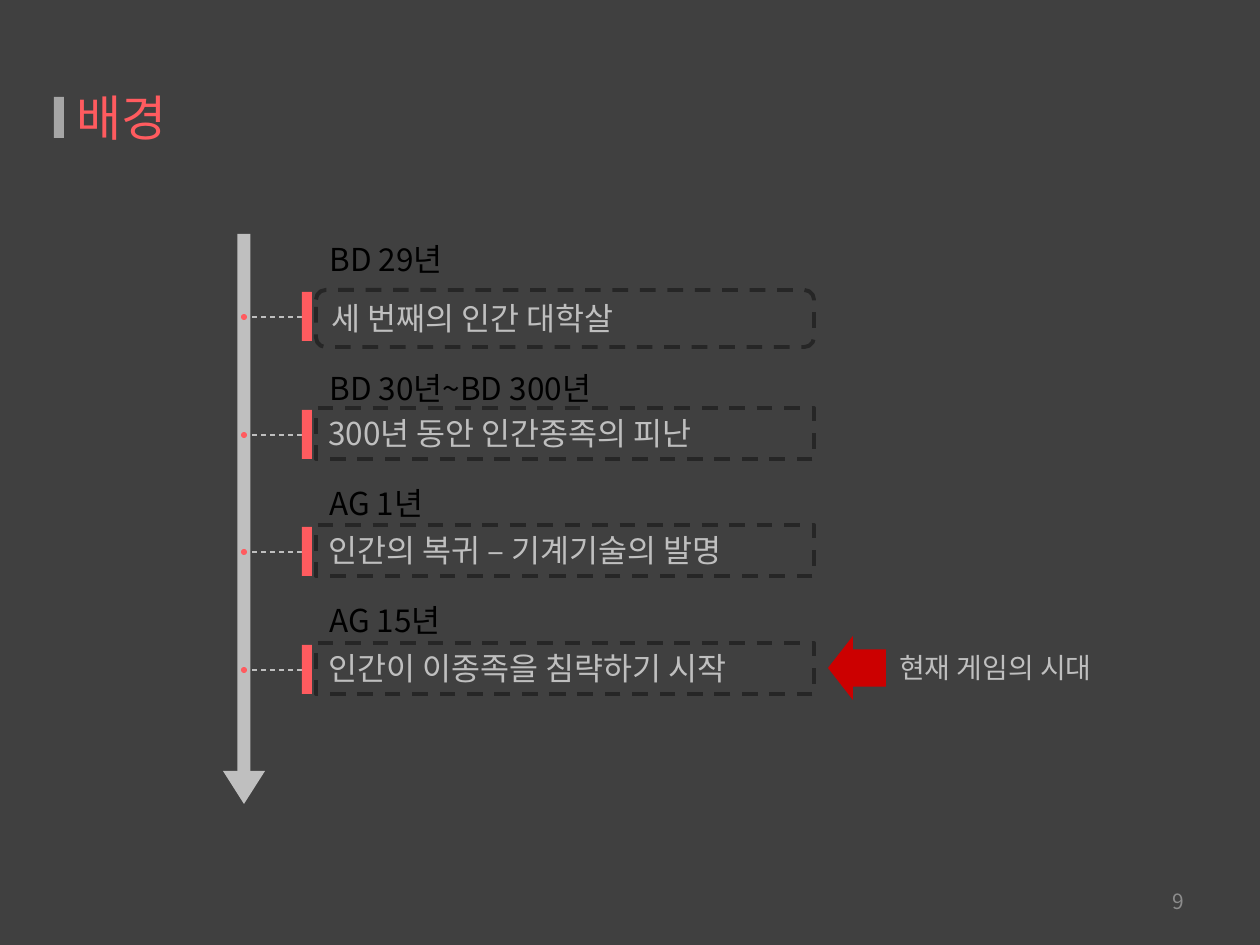
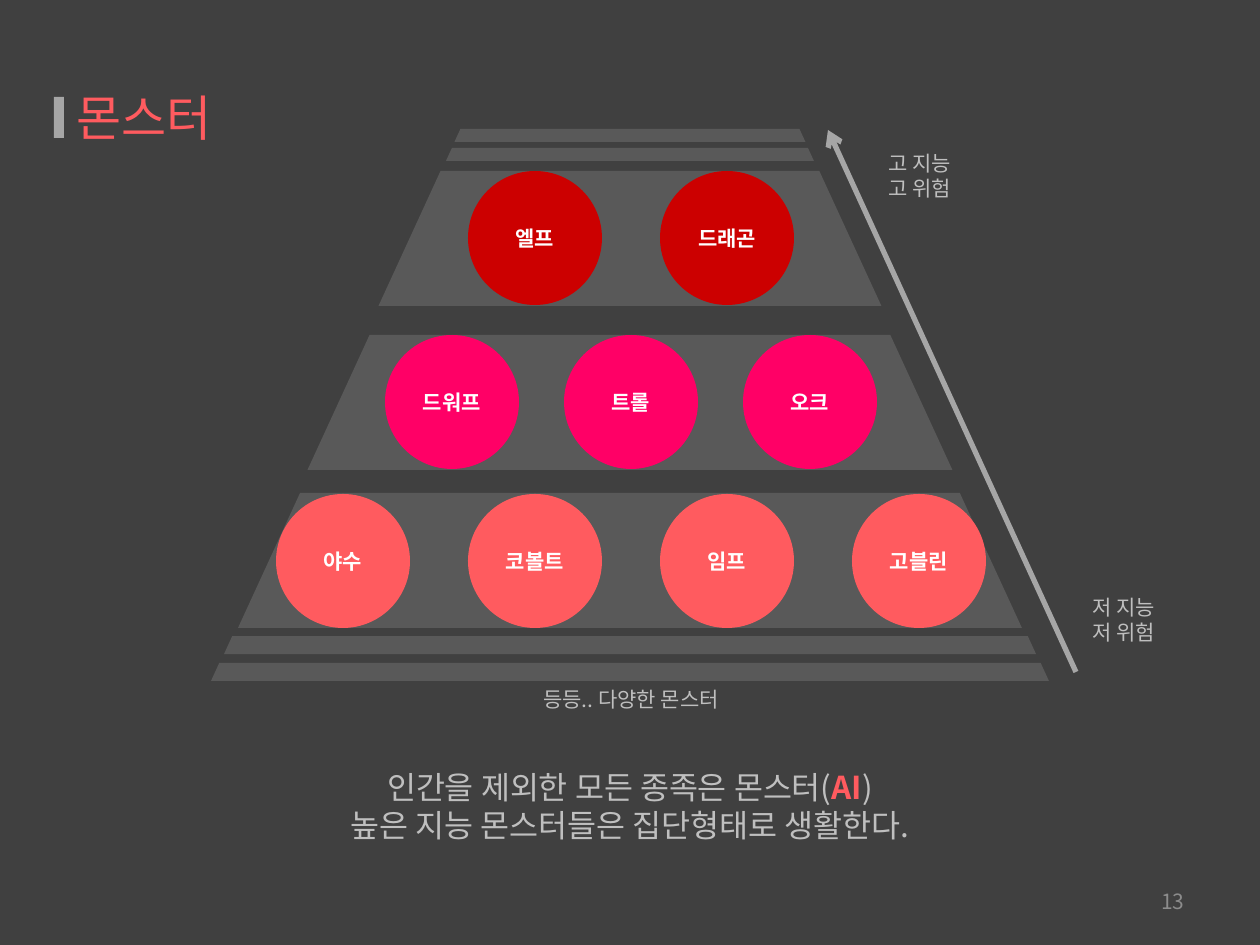
from lxml import etree
from pptx import Presentation
from pptx import util as u
from pptx.dml.color import RGBColor
from pptx.enum import dml, shapes, text
from pptx.oxml.ns import qn

PX_PER_INCH = 126
FONT = "Noto Sans CJK KR"
COLORS = {
    "background": "404040",
    "title_bar": "A6A6A6",
    "coral": "FF5B5F",
    "pink": "FF0066",
    "red": "CC0000",
    "text": "BFBFBF",
    "date": "000000",
    "outline": "262626",
    "band": "595959",
    "white": "FFFFFF",
    "page": "8C8C8C",
}
SHAPE = shapes.MSO_SHAPE
ALIGN = text.PP_ALIGN
ANCHOR = text.MSO_ANCHOR

AXIS_X = 244
FIRST_EVENT_Y, LAST_EVENT_Y = 317, 670
# date, top of the date, event, outline, outline height
EVENTS = [
    ("BD 29년", 234, "세 번째의 인간 대학살", SHAPE.ROUNDED_RECTANGLE, 57),
    ("BD 30년~BD 300년", 363, "300년 동안 인간종족의 피난", SHAPE.RECTANGLE, 51),
    ("AG 1년", 478, "인간의 복귀 – 기계기술의 발명", SHAPE.RECTANGLE, 51),
    ("AG 15년", 595, "인간이 이종족을 침략하기 시작", SHAPE.RECTANGLE, 51),
]

PYRAMID_X = 630
# width, top, height
BANDS = [
    (351, 129, 13),
    (368, 148, 13),
    (503, 171, 135),
    (645, 335, 135),
    (784, 493, 135),
    (812, 636, 18),
    (838, 663, 18),
]
BALL = 134
# names, top, distance between centres, colour
MONSTER_TIERS = [
    (["엘프", "드래곤"], 171, 192, "red"),
    (["드워프", "트롤", "오크"], 335, 179, "pink"),
    (["야수", "코볼트", "임프", "고블린"], 494, 192, "coral"),
]


def px(length):
    return u.Emu(round(length * 914400 / PX_PER_INCH))


def color(name):
    return RGBColor.from_string(COLORS[name])


def write(frame, lines, size, ink, align=ALIGN.LEFT, anchor=ANCHOR.TOP,
          bold=False, highlight=None):
    """Fill a text frame, one paragraph a line; highlight is set in bold coral."""
    frame.word_wrap = True
    frame.vertical_anchor = anchor
    for index, line in enumerate(lines):
        paragraph = frame.add_paragraph() if index else frame.paragraphs[0]
        paragraph.alignment = align
        font = paragraph.font
        font.name, font.size, font.bold = FONT, u.Pt(size), bold
        font.color.rgb = color(ink)
        defaults = paragraph._p.pPr.find(qn("a:defRPr"))
        etree.SubElement(defaults, qn("a:ea")).set("typeface", FONT)
        for part in filter(None, line.partition(highlight) if highlight else [line]):
            run = paragraph.add_run()
            run.text = part
            if part == highlight:
                run.font.bold = True
                run.font.color.rgb = color("coral")


def add_label(slide, box, lines, size=12, ink="text", **style):
    label = slide.shapes.add_textbox(*map(px, box))
    write(label.text_frame, lines, size, ink, **style)


def add_block(slide, kind, box, fill=None, adjustments=()):
    """Add a preset shape without a line."""
    block = slide.shapes.add_shape(kind, *map(px, box))
    block.shadow.inherit = False
    block.line.fill.background()
    if fill:
        block.fill.solid()
        block.fill.fore_color.rgb = color(fill)
    else:
        block.fill.background()
    for index, value in enumerate(adjustments):
        block.adjustments[index] = value
    return block


def add_line(slide, start, end, ink, width):
    line = slide.shapes.add_connector(
        shapes.MSO_CONNECTOR.STRAIGHT, *map(px, (*start, *end)))
    line.line.color.rgb = color(ink)
    line.line.width = u.Pt(width)
    etree.SubElement(line._element.spPr, qn("a:effectLst"))
    return line


def add_titled_slide(prs, title, page):
    slide = prs.slides.add_slide(prs.slide_layouts.get_by_name("Title Only"))
    add_block(slide, SHAPE.RECTANGLE, (54, 97, 10, 41), "title_bar")
    heading = slide.shapes.title
    heading.left, heading.top, heading.width, heading.height = map(
        px, (64, 38, 576, 158))
    write(heading.text_frame, [title], 28, "coral", anchor=ANCHOR.MIDDLE)
    add_label(slide, (903, 876, 294, 50), [page], ink="page",
              align=ALIGN.RIGHT, anchor=ANCHOR.MIDDLE)
    return slide


def add_event(slide, center_y, date, date_top, event, outline, height):
    link = add_line(slide, (302, center_y), (AXIS_X, center_y), "text", 0.75)
    link.line.dash_style = dml.MSO_LINE.DASH
    add_block(slide, SHAPE.OVAL, (AXIS_X - 3, center_y - 3, 6, 6), "coral")
    add_block(slide, SHAPE.RECTANGLE, (302, center_y - 25, 10, 49), "coral")
    frame = add_block(slide, outline, (316, center_y - 27, 498, height))
    frame.line.color.rgb = color("outline")
    frame.line.width = u.Pt(2.25)
    frame.line.dash_style = dml.MSO_LINE.DASH
    write(frame.text_frame, [event], 18, "text")
    add_label(slide, (317, date_top, 393, 51), [date], 18, "date")


def build_background_story(prs):
    slide = add_titled_slide(prs, "배경", "9")
    add_block(slide, SHAPE.DOWN_ARROW, (AXIS_X - 13, 234, 26, 558), "text")
    add_block(slide, SHAPE.FLOWCHART_MERGE, (AXIS_X - 21, 771, 42, 33), "text")
    step = (LAST_EVENT_Y - FIRST_EVENT_Y) / (len(EVENTS) - 1)
    for index, event in enumerate(EVENTS):
        add_event(slide, round(FIRST_EVENT_Y + index * step), *event)
    add_block(slide, SHAPE.LEFT_ARROW, (828, 636, 58, 64), "red", (0.58, 0.43))
    add_label(slide, (887, 644, 340, 47), ["현재 게임의 시대"], 16)


def build_monsters(prs):
    slide = add_titled_slide(prs, "몬스터", "13")
    for width, top, height in BANDS:
        add_block(slide, SHAPE.TRAPEZOID,
                  (PYRAMID_X - width / 2, top, width, height), "band", (0.46,))
    for names, top, pitch, fill in MONSTER_TIERS:
        first_left = PYRAMID_X + 1 - (pitch * (len(names) - 1) + BALL) / 2
        for index, name in enumerate(names):
            ball = add_block(slide, SHAPE.OVAL,
                             (first_left + index * pitch, top, BALL, BALL), fill)
            write(ball.text_frame, [name], 12, "white", ALIGN.CENTER,
                  ANCHOR.MIDDLE, bold=True)

    danger = add_line(slide, (1076, 672), (828, 130), "title_bar", 3)
    etree.SubElement(danger.line._get_or_add_ln(), qn("a:tailEnd")).set("type", "arrow")
    add_label(slide, (876, 144, 170, 63), ["고 지능", "고 위험"])
    add_label(slide, (1080, 588, 170, 63), ["저 지능", "저 위험"])
    add_label(slide, (512, 680, 238, 38), ["등등.. 다양한 몬스터"], align=ALIGN.CENTER)
    add_label(slide, (77, 762, 1106, 90),
              ["인간을 제외한 모든 종족은 몬스터(AI)",
               "높은 지능 몬스터들은 집단형태로 생활한다."],
              18, align=ALIGN.CENTER, highlight="AI")


def main():
    prs = Presentation()
    prs.slide_width, prs.slide_height = px(1260), px(945)
    backdrop = prs.slide_master.background.fill
    backdrop.solid()
    backdrop.fore_color.rgb = color("background")
    build_background_story(prs)
    build_monsters(prs)
    prs.save("out.pptx")


if __name__ == "__main__":
    main()
